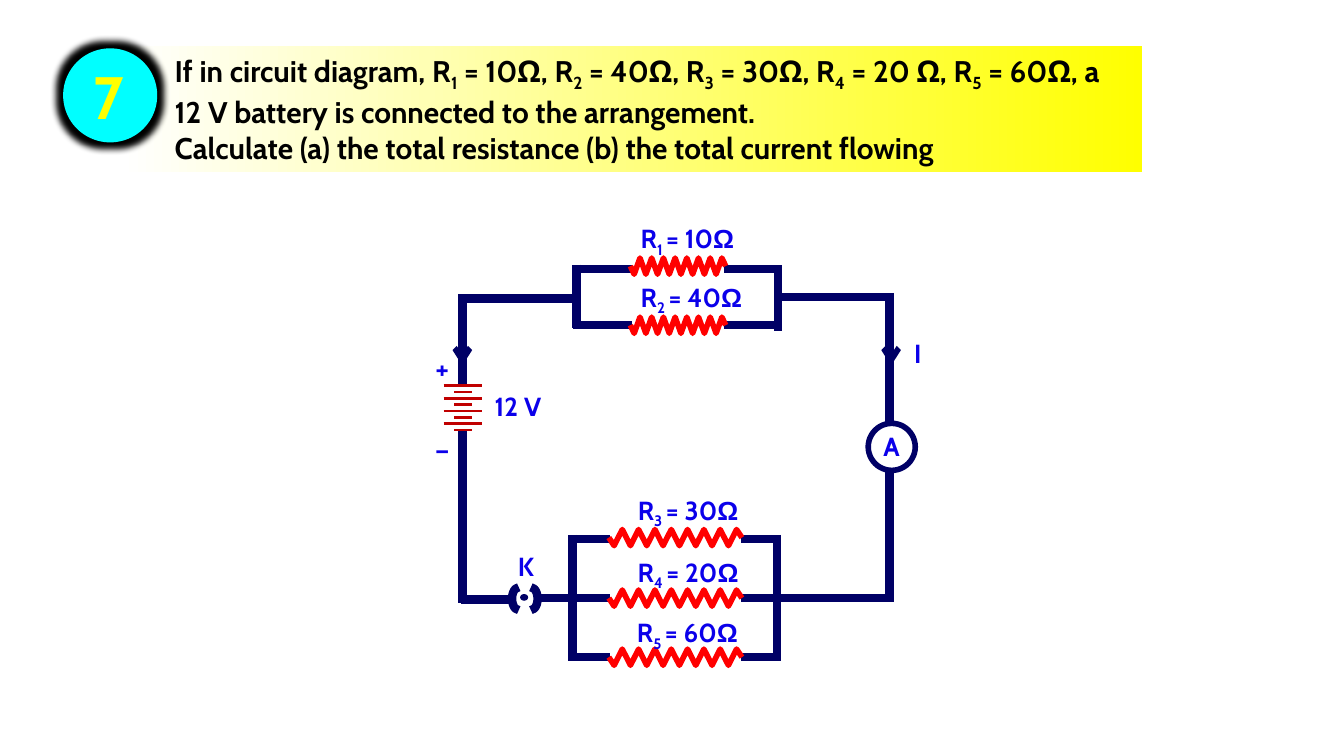
from lxml.etree import SubElement
from pptx import Presentation
from pptx.dml.color import RGBColor
from pptx.enum.shapes import MSO_CONNECTOR, MSO_SHAPE
from pptx.enum.text import MSO_ANCHOR, MSO_AUTO_SIZE, PP_ALIGN
from pptx.oxml import parse_xml
from pptx.oxml.ns import nsdecls, qn
from pptx.util import Inches, Pt

CELL = 0.1
COLUMNS, ROWS = 100, 56.25
FONT = "Cabin"
NAVY, RED, DARK_RED, BLUE = "000066", "FF0000", "C00000", "0B00EA"
YELLOW, CYAN, WHITE, BLACK = "FFFF00", "00FFFF", "FFFFFF", "000000"

QUESTION = (
    "If in circuit diagram, R|1| = 10Ω, R|2| = 40Ω, R|3| = 30Ω, R|4| = 20 Ω, "
    "R|5| = 60Ω, a 12 V battery is connected to the arrangement.",
    "Calculate (a) the total resistance (b) the total current flowing",
)
WIRES = (
    (66.2, 21.8, 66.2, 44.8), (34.4, 21.9, 34.4, 28.7), (34.4, 32, 34.4, 44.9),
    (34.3, 44.6, 38.3, 44.6), (39.9, 44.5, 42.8, 44.5), (57.8, 44.5, 66.4, 44.5),
    (42.6, 39.8, 42.6, 49.2), (57.8, 39.8, 57.8, 49.2),
    (34.3, 22.2, 42.7, 22.2), (58, 22.1, 66.5, 22.1),
    (42.9, 19.7, 42.9, 24.4), (57.9, 19.8, 57.9, 24.6),
)
UPPER_BRANCH = {"left": 42.6, "right": 58.2, "start": 46.9, "end": 54}
LOWER_BRANCH = {"left": 42.5, "right": 58, "start": 45.3, "end": 55.2}
RESISTORS = (
    ("R|1 |= 10", 51.15, 17.9, 20, 19.8, UPPER_BRANCH),
    ("R|2 |= 40", 51.45, 22.25, 24.2, 24.2, UPPER_BRANCH),
    ("R|3 |= 30", 51.2, 38.1, 40.1, 40, LOWER_BRANCH),
    ("R|4 |= 20", 51.2, 42.7, 44.5, 44.5, LOWER_BRANCH),
    ("R|5 |= 60", 51.15, 47.2, 48.9, 48.9, LOWER_BRANCH),
)
LABELS = (
    ("A", 66.35, 33.2, 14), ("12 V", 38.55, 30.2, 14), ("K", 39.15, 42.1, 14),
    ("I", 68.3, 26.3, 14), ("+", 32.9, 27.35, 16), ("–", 32.9, 33.35, 16),
)


def cells(count):
    return Inches(count * CELL)


def color(value):
    return RGBColor.from_string(value)


def write(paragraph, text, size, text_color):
    for index, piece in enumerate(text.split("|")):
        run = paragraph.add_run()
        run.text = piece
        run.font.name = FONT
        run.font.size = Pt(size)
        run.font.bold = True
        run.font.color.rgb = color(text_color)
        if index % 2:
            run.font._element.set("baseline", "-25000")


def add_shape(slide, kind, left, top, width, height, fill=None, line=None, weight=4.5):
    shape = slide.shapes.add_shape(
        kind, cells(left), cells(top), cells(width), cells(height))
    shape.shadow.inherit = False
    if fill:
        shape.fill.solid()
        shape.fill.fore_color.rgb = color(fill)
    else:
        shape.fill.background()
    if line:
        shape.line.color.rgb = color(line)
        shape.line.width = Pt(weight)
    else:
        shape.line.fill.background()
    return shape


def add_line(slide, start_x, start_y, end_x, end_y, line=NAVY, weight=4.5, arrow=False):
    connector = slide.shapes.add_connector(
        MSO_CONNECTOR.STRAIGHT,
        cells(start_x), cells(start_y), cells(end_x), cells(end_y))
    connector.line.color.rgb = color(line)
    connector.line.width = Pt(weight)
    if arrow:
        SubElement(connector.line._get_or_add_ln(), qn("a:tailEnd"), type="arrow")
    SubElement(connector._element.spPr, qn("a:effectLst"))


def add_label(slide, text, center_x, center_y, size=14, text_color=BLUE, width=11):
    height = size * 0.25
    box = slide.shapes.add_textbox(
        cells(center_x - width / 2), cells(center_y - height / 2),
        cells(width), cells(height))
    frame = box.text_frame
    frame.word_wrap = True
    frame.vertical_anchor = MSO_ANCHOR.MIDDLE
    frame.margin_left = frame.margin_right = 0
    frame.margin_top = frame.margin_bottom = 0
    paragraph = frame.paragraphs[0]
    paragraph.alignment = PP_ALIGN.CENTER
    write(paragraph, text, size, text_color)
    return paragraph


def add_zigzag(slide, start, end, middle, peaks=16, swing=0.6):
    width = end - start
    step = 0.92 / (peaks - 1)
    points = [
        (cells(start + width * (0.04 + index * step)),
         cells(middle + (-swing if index % 2 else swing)))
        for index in range(peaks)
    ]
    points.append((cells(end), cells(middle)))
    builder = slide.shapes.build_freeform(cells(start), cells(middle))
    builder.add_line_segments(points, close=False)
    zigzag = builder.convert_to_shape()
    zigzag.shadow.inherit = False
    zigzag.fill.background()
    zigzag.line.color.rgb = color(RED)
    zigzag.line.width = Pt(3)


def add_resistor(slide, text, label_x, label_y, wire_y, zigzag_y, branch):
    add_line(slide, branch["left"], wire_y, branch["start"] + 0.1, wire_y)
    add_line(slide, branch["end"] - 0.1, wire_y, branch["right"], wire_y)
    add_zigzag(slide, branch["start"], branch["end"], zigzag_y)
    paragraph = add_label(slide, text + "|Ω", label_x, label_y)
    omega = paragraph.runs[-1]
    omega.font.name = "Arial"
    omega.font._element.set("baseline", "0")


def add_battery(slide, center_x=34.45, top=28.7, plates=8):
    for index in range(plates):
        half = 0.65 if index % 2 else 1.45
        plate_y = top + index * 0.47
        add_line(slide, center_x - half, plate_y, center_x + half, plate_y, DARK_RED, 1.5)


def add_key(slide):
    for kind, left in ((MSO_SHAPE.LEFT_BRACKET, 38.1), (MSO_SHAPE.RIGHT_BRACKET, 39.5)):
        bracket = add_shape(slide, kind, left, 43.7, 0.5, 1.7, line=NAVY)
        bracket.adjustments[0] = 6.06
    add_shape(slide, MSO_SHAPE.FLOWCHART_CONNECTOR, 38.7, 44.2, 0.6, 0.5, NAVY)


def add_question(slide):
    banner = add_shape(slide, MSO_SHAPE.ROUNDED_RECTANGLE, 9, 3.4, 76, 9.4)
    banner.adjustments[0] = 0
    stops = "".join(
        f'<a:gs pos="{share * 1000}"><a:srgbClr val="{value}"/></a:gs>'
        for share, value in ((0, YELLOW), (70, "FFFFB4"), (100, WHITE)))
    properties = banner._element.spPr
    properties.replace(properties.find(qn("a:noFill")), parse_xml(
        f'<a:gradFill {nsdecls("a")} rotWithShape="1"><a:gsLst>{stops}</a:gsLst>'
        '<a:lin ang="10800000" scaled="0"/></a:gradFill>'))

    title = slide.shapes.title
    title.left, title.top, title.width, title.height = map(cells, (12, 3.5, 73, 9.2))
    banner._element.addnext(title._element)
    frame = title.text_frame
    frame.word_wrap = True
    frame.auto_size = MSO_AUTO_SIZE.NONE
    frame.vertical_anchor = MSO_ANCHOR.MIDDLE
    frame.add_paragraph()
    for paragraph, text in zip(frame.paragraphs, QUESTION):
        paragraph.alignment = PP_ALIGN.LEFT
        write(paragraph, text, 16, BLACK)


def add_number(slide):
    badge = add_shape(slide, MSO_SHAPE.OVAL, 4.7, 3.6, 7, 7, CYAN)
    effects = badge._element.spPr.find(qn("a:effectLst"))
    glow = SubElement(effects, qn("a:glow"), rad=str(cells(1)))
    SubElement(glow, qn("a:srgbClr"), val=BLACK)
    add_label(slide, "7", 8.1, 7.1, 32, YELLOW, 4.4)


def main():
    presentation = Presentation()
    presentation.slide_width = cells(COLUMNS)
    presentation.slide_height = cells(ROWS)
    slide = presentation.slides.add_slide(presentation.slide_layouts[5])
    add_question(slide)
    for wire in WIRES:
        add_line(slide, *wire)
    add_battery(slide)
    add_key(slide)
    add_shape(slide, MSO_SHAPE.OVAL, 64.6, 31.5, 3.5, 3.5, WHITE, NAVY, 3)
    for arrow_x in (34.4, 66.3):
        add_line(slide, arrow_x, 25.9, arrow_x, 27.2, weight=3, arrow=True)
    for resistor in RESISTORS:
        add_resistor(slide, *resistor)
    for text, center_x, center_y, size in LABELS:
        add_label(slide, text, center_x, center_y, size, width=5)
    add_number(slide)
    presentation.save("out.pptx")


if __name__ == "__main__":
    main()
